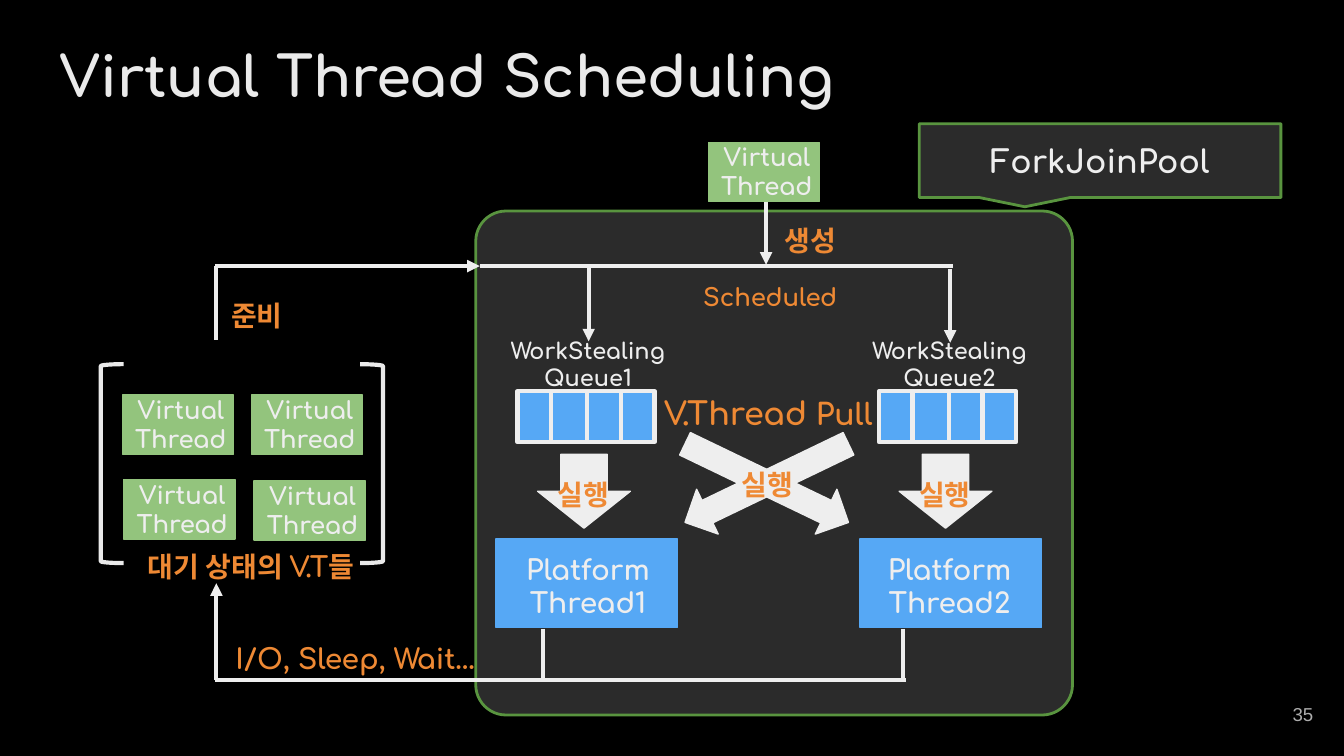
from lxml import etree
from pptx import Presentation
from pptx.dml.color import RGBColor
from pptx.enum.shapes import MSO_CONNECTOR, MSO_SHAPE as Kind
from pptx.enum.text import MSO_ANCHOR as Anchor, PP_ALIGN as Align
from pptx.oxml.ns import qn
from pptx.util import Inches, Pt

HUES = {
    "back": "000000", "panel": "2B2B2B", "edge": "59943F", "white": "EEEEEE",
    "title": "EAEAEA", "blue": "56A8F5", "green": "93C47D",
    "orange": "EE8934", "gray": "ADADAD",
}
RGB = {name: RGBColor.from_string(value) for name, value in HUES.items()}

deck = Presentation()
deck.slide_width = Inches(10)
deck.slide_height = Inches(10 * 9 / 16)
slide = deck.slides.add_slide(deck.slide_layouts[5])
slide.background.fill.solid()
slide.background.fill.fore_color.rgb = RGB["back"]
shapes = slide.shapes


def block(kind, box, fill, line, width=0.75, adjust=(), turn=0):
    shape = shapes.add_shape(kind, *map(Inches, box))
    shape.shadow.inherit = False
    if fill:
        shape.fill.solid()
        shape.fill.fore_color.rgb = RGB[fill]
    else:
        shape.fill.background()
    shape.line.color.rgb = RGB[line]
    shape.line.width = Pt(width)
    for i, value in enumerate(adjust):
        shape.adjustments[i] = value
    shape.rotation = turn
    return shape


def label(shape, text, size, hue, align=Align.CENTER, inset=0.1,
          anchor=Anchor.TOP, font="Comfortaa", bold=True):
    frame = shape.text_frame
    frame.word_wrap = True
    frame.vertical_anchor = anchor
    frame.margin_left = frame.margin_right = Inches(inset)
    frame.margin_top = frame.margin_bottom = Inches(inset)
    para = frame.paragraphs[0]
    para.text = text
    para.alignment = align
    for run in para.runs:
        run.font.name = font
        run.font.size = Pt(size)
        run.font.bold = bold
        run.font.color.rgb = RGB[hue]
    return para


title = shapes.title
title.left, title.top = Inches(0.34), Inches(0.21)
title.width, title.height = Inches(8.61), Inches(0.84)
label(title, "Virtual Thread Scheduling", 30, "title", Align.LEFT)

block(Kind.ROUNDED_RECTANGLE, (3.54, 1.57, 4.44, 3.75), "panel", "edge", 1.5, [0.06])
pool = block(Kind.RECTANGULAR_CALLOUT, (6.84, 0.92, 2.69, 0.55),
             "panel", "edge", 1.5, [-0.208, 0.625])
label(pool, "ForkJoinPool", 17, "white", anchor=Anchor.MIDDLE)

page = shapes.add_textbox(Inches(9.27), Inches(5.1), Inches(0.6), Inches(0.43))
label(page, "35", 10, "gray", Align.RIGHT, anchor=Anchor.MIDDLE, font="Arial", bold=False)

notes = []
wires = []
for i, (x, note) in enumerate([(3.69, 3.8), (6.4, 6.49)], 1):
    block(Kind.RECTANGLE, (x, 4.01, 1.35, 0.66), "blue", "blue")
    notes.append((f"Platform\vThread{i}", (note, 4.01, 1.15, 0.71), 15))
for i, x in enumerate([3.85, 6.54], 1):
    block(Kind.RECTANGLE, (x, 2.91, 1.02, 0.38), "blue", "white", 2.25)
    block(Kind.LEFT_ARROW, (x + 0.22, 3.31, 0.55, 0.69), "white", "white", turn=270)
    notes.append((f"WorkStealing\vQueue{i}", (x - 0.26, 2.41, 1.57, 0.61), 12))
    wires += [(x + gap, 2.91, x + gap, 3.29, False) for gap in (0.25, 0.52, 0.77)]
for turn in (205.7, 334.3):
    block(Kind.LEFT_ARROW, (5.03, 3.41, 1.35, 0.37), "white", "white", turn=turn)
for kind, x in [(Kind.LEFT_BRACKET, 0.75), (Kind.RIGHT_BRACKET, 2.68)]:
    block(kind, (x, 2.71, 0.17, 1.48), None, "title", 2.25, [0.083])
for x, y in [(5.27, 1.06), (0.91, 2.94), (1.89, 3.58), (1.87, 2.94), (0.92, 3.57)]:
    block(Kind.RECTANGLE, (x, y, 0.83, 0.44), "green", "green")
    notes.append(("VirtualThread", (x - 0.02, y - 0.1, 0.91, 0.64), 13))

wires += [
    (4.04, 4.68, 4.04, 5.06, False),
    (6.72, 4.68, 6.72, 5.06, False),
    (6.74, 5.06, 1.6, 5.06, False),
    (1.61, 5.06, 1.61, 4.34, True),
    (7.09, 1.98, 3.57, 1.98, False),
    (1.61, 1.98, 1.61, 2.53, False),
    (1.6, 1.98, 3.57, 1.98, True),
    (4.38, 1.98, 4.38, 2.54, True),
    (7.07, 2, 7.07, 2.55, True),
    (5.7, 1.5, 5.7, 1.97, True),
]
for *ends, arrow in wires:
    wire = shapes.add_connector(MSO_CONNECTOR.STRAIGHT, *map(Inches, ends))
    wire.line.color.rgb = RGB["white"]
    wire.line.width = Pt(2.25)
    if arrow:
        etree.SubElement(wire.line._get_or_add_ln(), qn("a:tailEnd"), type="triangle")
    etree.SubElement(wire._element.spPr, qn("a:effectLst"))

for text, box, size in notes:
    label(shapes.add_textbox(*map(Inches, box)), text, size, "white")

for text, box, size, align in [
    ("생성", (5.8, 1.62, 0.6, 0.41), 15, Align.LEFT),
    ("Scheduled", (5.04, 2.06, 1.38, 0.38), 13, Align.CENTER),
    ("준비", (1.68, 2.18, 0.6, 0.41), 15, Align.LEFT),
    ("I/O, Sleep, Wait…", (1.68, 4.73, 1.93, 0.55), 15, Align.CENTER),
    ("대기 상태의 V.T들", (1.06, 4.05, 1.63, 0.41), 15, Align.LEFT),
    ("실행", (4.11, 3.51, 0.6, 0.41), 15, Align.LEFT),
    ("실행", (5.48, 3.44, 0.6, 0.41), 15, Align.LEFT),
    ("실행", (6.8, 3.51, 0.6, 0.41), 15, Align.LEFT),
    ("V.Thread", (4.9, 2.89, 1.8, 0.41), 17, Align.LEFT),
]:
    para = label(shapes.add_textbox(*map(Inches, box)), text, size, "orange", align, 0.04)

pull = para.add_run()
pull.text = " Pull"
pull.font.name = "Comfortaa"
pull.font.size = Pt(16)
pull.font.bold = True
pull.font.color.rgb = RGB["orange"]

deck.save("out.pptx")
